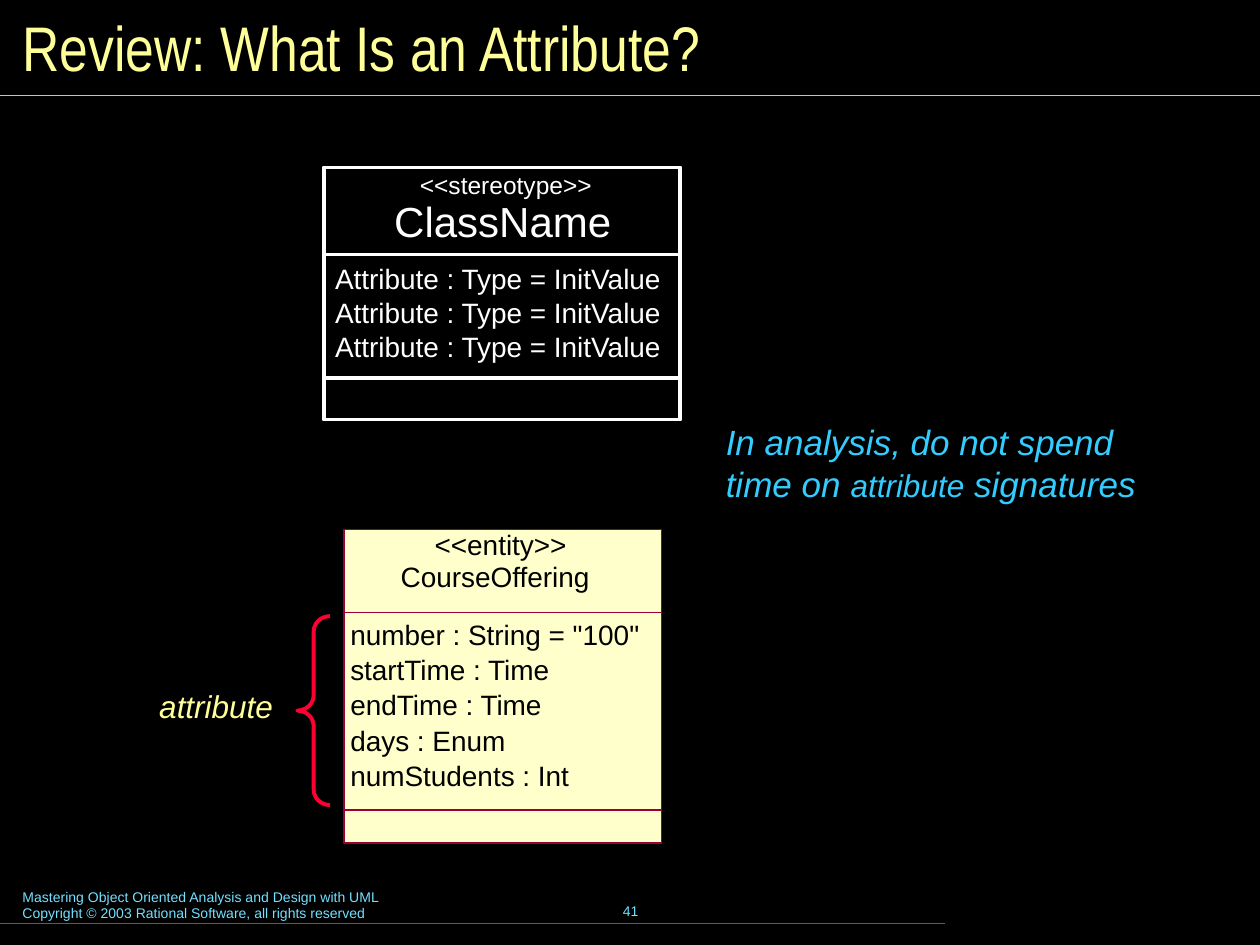
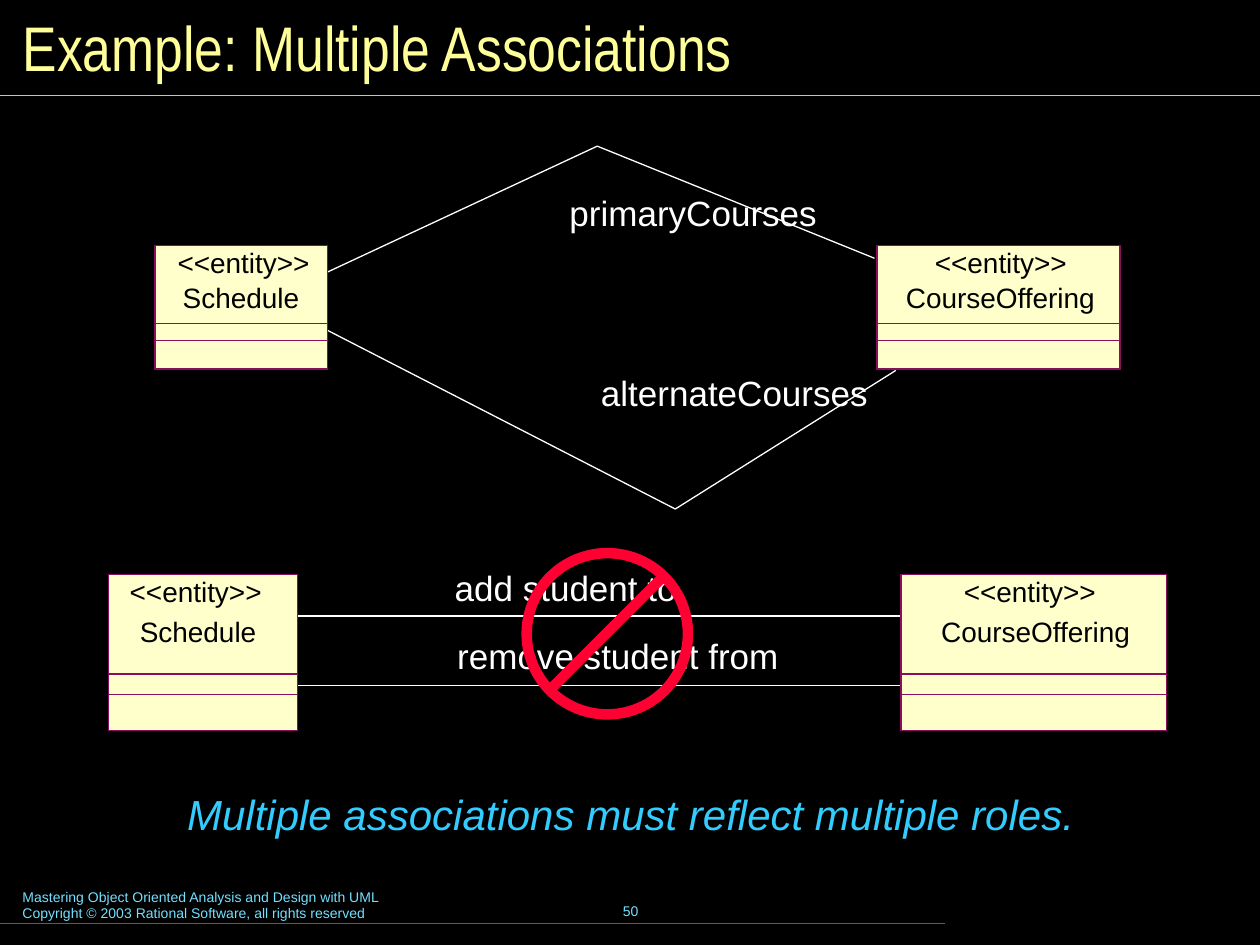
from lxml import etree
from pptx import Presentation
from pptx.dml.color import RGBColor
from pptx.enum.shapes import MSO_CONNECTOR, MSO_SHAPE
from pptx.enum.text import MSO_ANCHOR, PP_ALIGN
from pptx.oxml.ns import qn
from pptx.util import Inches, Pt

RECTANGLE, OVAL, LEFT_BRACE = MSO_SHAPE.RECTANGLE, MSO_SHAPE.OVAL, MSO_SHAPE.LEFT_BRACE
STRAIGHT = MSO_CONNECTOR.STRAIGHT
LEFT, CENTER = PP_ALIGN.LEFT, PP_ALIGN.CENTER
TOP, MIDDLE = MSO_ANCHOR.TOP, MSO_ANCHOR.MIDDLE

BLACK = RGBColor(0x00, 0x00, 0x00)
WHITE = RGBColor(0xFF, 0xFF, 0xFF)
YELLOW = RGBColor(0xFF, 0xFF, 0x99)
CREAM = RGBColor(0xFF, 0xFF, 0xCC)
SKY = RGBColor(0x33, 0xCC, 0xFF)
PALE_BLUE = RGBColor(0x73, 0xE1, 0xFF)
TEAL = RGBColor(0x00, 0x7E, 0x9F)
RED = RGBColor(0xFF, 0x00, 0x33)
MAROON = RGBColor(0x99, 0x00, 0x33)
PLUM = RGBColor(0x8A, 0x0E, 0x5E)

BODY_FONT, TITLE_FONT = "Arial", "Arial Narrow"
PADDED, TIGHT = (0.1, 0.05), (0, 0)
LABEL_SLACK = 0.08  # spare width that keeps a label on one line

# Content
FOOTER = ["Mastering Object Oriented Analysis and Design with UML",
          "Copyright © 2003 Rational Software, all rights reserved"]
ATTRIBUTE_LINES = ["Attribute : Type = InitValue"] * 3
# Label, left, top, width
STEREOTYPE = "<<entity>>"
COURSE_OFFERING_LABELS = [(STEREOTYPE, 3.45, 4.19, 1.05), ("CourseOffering", 3.18, 4.44, 1.5)]
COURSE_ATTRIBUTES = [('number : String = "100"', 2.3), ("startTime : Time", 1.6),
                     ("endTime : Time", 1.54), ("days : Enum", 1.23),
                     ("numStudents : Int", 1.74)]
# Left, width, labels of each class; a row shares its top, compartments and bottom
CLASS_ROWS = [
    {"tops": (1.95, 2.57, 2.7), "bottom": 2.93, "name_top": 2.23,
     "classes": [(6.96, 1.93, ("CourseOffering", 7.19, 1.5), 7.42),
                 (1.23, 1.37, ("Schedule", 1.45, 0.93), 1.41)]},
    {"tops": (4.56, 5.35, 5.51), "bottom": 5.8, "name_top": 4.88,
     "classes": [(7.15, 2.11, ("CourseOffering", 7.47, 1.5), 7.65),
                 (0.86, 1.5, ("Schedule", 1.11, 0.93), 1.03)]},
]
ROLE_PATHS = [[(2.49, 2.21), (4.74, 1.16), (6.94, 2.05)],
              [(2.44, 2.54), (5.36, 4.04), (7.11, 2.94)]]
ROLE_NAMES = [("primaryCourses", 4.52, 1.52, 1.96), ("alternateCourses", 4.77, 2.95, 2.12)]
OPERATION_LINES = [((2.14, 4.89), (7.35, 4.89)), ((2.16, 5.44), (7.37, 5.44))]
OPERATION_NAMES = [("add student to", 3.51, 4.45, 2.48),
                   ("remove student from", 3.53, 4.99, 2.81)]


def add_text(slide, lines, left, top, width, height, size, color, align=LEFT,
             anchor=TOP, italic=False, inset=PADDED):
    """Each line is a string or a list of (text, size) runs."""
    box = slide.shapes.add_textbox(*map(Inches, (left, top, width, height)))
    frame = box.text_frame
    frame.word_wrap, frame.vertical_anchor = True, anchor
    frame.margin_left = frame.margin_right = Inches(inset[0])
    frame.margin_top = frame.margin_bottom = Inches(inset[1])
    for index, line in enumerate(lines):
        paragraph = frame.add_paragraph() if index else frame.paragraphs[0]
        paragraph.alignment = align
        for text, run_size in [(line, size)] if isinstance(line, str) else line:
            run = paragraph.add_run()
            run.text = text
            run.font.name, run.font.size = BODY_FONT, Pt(run_size)
            run.font.italic = italic
            run.font.color.rgb = color


def add_label(slide, text, left, top, width, size=16, color=BLACK, align=LEFT):
    if align == CENTER:
        left -= LABEL_SLACK / 2
    add_text(slide, [text], left, top, width + LABEL_SLACK, size / 60, size, color,
             align, inset=TIGHT)


def style_shape(shape, line_color, line_width, fill=None):
    shape.shadow.inherit = False
    if fill is None:
        shape.fill.background()
    else:
        shape.fill.solid()
        shape.fill.fore_color.rgb = fill
    shape.line.color.rgb = line_color
    shape.line.width = Pt(line_width)
    return shape


def add_shape(slide, kind, left, top, width, height, line_color, line_width, fill=None):
    shape = slide.shapes.add_shape(kind, *map(Inches, (left, top, width, height)))
    return style_shape(shape, line_color, line_width, fill)


def add_line(slide, start, end, color, width):
    line = slide.shapes.add_connector(STRAIGHT, *map(Inches, (*start, *end)))
    line.line.color.rgb = color
    line.line.width = Pt(width)
    properties = line._element.find(qn("p:spPr"))
    etree.SubElement(properties, qn("a:effectLst"))


def add_class_box(slide, left, width, tops, bottom, line_color):
    """One rectangle per compartment, each reaching down to the bottom."""
    for top in tops:
        add_shape(slide, RECTANGLE, left, top, width, bottom - top, line_color, 0, CREAM)


def add_base_slide(presentation, title, number):
    slide = presentation.slides.add_slide(presentation.slide_layouts[5])
    add_text(slide, FOOTER, 0.08, 7, 5.1, 0.37, 8, PALE_BLUE)
    add_text(slide, [number], 3.42, 6.98, 3.17, 0.5, 8, PALE_BLUE, CENTER, MIDDLE)
    add_line(slide, (0, 7.33), (7.5, 7.33), TEAL, 0.75)
    add_line(slide, (0, 0.76), (10, 0.76), PALE_BLUE, 0.75)

    heading = slide.shapes.title
    heading.left, heading.top = Inches(0.08), Inches(0.08)
    heading.width, heading.height = Inches(9.84), Inches(0.58)
    heading.text_frame.vertical_anchor = MIDDLE
    paragraph = heading.text_frame.paragraphs[0]
    paragraph.alignment = LEFT
    run = paragraph.add_run()
    run.text = title
    run.font.name, run.font.size = TITLE_FONT, Pt(36)
    run.font.color.rgb = YELLOW
    return slide


def build_attribute_slide(presentation):
    slide = add_base_slide(presentation, "Review: What Is an Attribute?", "41")

    # General class notation
    add_shape(slide, RECTANGLE, 2.57, 1.33, 2.83, 2, WHITE, 2.25)
    for divider in (2.02, 3):
        add_line(slide, (2.57, divider), (5.4, divider), WHITE, 2.25)
    add_label(slide, "ClassName", 3.13, 1.55, 1.72, 24, WHITE, CENTER)
    add_label(slide, "<<stereotype>>", 3.33, 1.35, 1.37, 14, WHITE, CENTER)
    add_text(slide, ATTRIBUTE_LINES, 2.66, 2.08, 2.62 + LABEL_SLACK, 0.8, 16, WHITE,
             inset=TIGHT)

    # Notes
    add_text(slide, ["attribute"], 1.04, 5.4, 1.35, 0.4, 18, YELLOW, CENTER, italic=True)
    advice = [("In analysis, do not spend time on ", 20), ("attribute", 18),
              (" signatures", 20)]
    add_text(slide, [advice], 5.64, 3.28, 3.69, 0.79, 20, SKY, italic=True,
             inset=(0.12, 0.06))

    # Example class with its attributes
    add_class_box(slide, 2.73, 2.52, (4.2, 4.86, 6.43), 6.69, MAROON)
    for label in COURSE_OFFERING_LABELS:
        add_label(slide, *label)
    for index, (text, width) in enumerate(COURSE_ATTRIBUTES):
        add_label(slide, text, 2.78, 4.9 + index * 0.28, width)
    brace = add_shape(slide, LEFT_BRACE, 2.36, 4.89, 0.26, 1.5, RED, 2.25)
    brace.adjustments[0] = 0.47


def build_association_slide(presentation):
    slide = add_base_slide(presentation, "Example: Multiple Associations", "50")

    # Role paths, behind the classes
    for start, *rest in ROLE_PATHS:
        builder = slide.shapes.build_freeform(*map(Inches, start))
        builder.add_line_segments([tuple(map(Inches, point)) for point in rest],
                                  close=False)
        style_shape(builder.convert_to_shape(), WHITE, 0)
    for start, end in OPERATION_LINES:
        add_line(slide, start, end, WHITE, 1)

    # Classes
    for row in CLASS_ROWS:
        for left, width, (name, name_left, name_width), entity_left in row["classes"]:
            add_class_box(slide, left, width, row["tops"], row["bottom"], PLUM)
            add_label(slide, name, name_left, row["name_top"], name_width)
            add_label(slide, STEREOTYPE, entity_left, row["tops"][0], 1.05)

    # Association names
    for role in ROLE_NAMES:
        add_label(slide, *role, 20, WHITE)
    for text, left, top, width in OPERATION_NAMES:
        add_text(slide, [text], left, top, width, 0.44, 20, WHITE)

    # Prohibition sign
    add_shape(slide, OVAL, 4.18, 4.39, 1.28, 1.28, RED, 6)
    add_line(slide, (5.27, 4.57), (4.38, 5.46), RED, 6)

    add_text(slide, ["Multiple associations must reflect multiple roles."],
             1.35, 6.21, 7.31, 0.5, 24, SKY, CENTER, italic=True)


def main():
    presentation = Presentation()
    presentation.slide_width, presentation.slide_height = Inches(10), Inches(7.5)
    background = presentation.slide_master.background.fill
    background.solid()
    background.fore_color.rgb = BLACK
    build_attribute_slide(presentation)
    build_association_slide(presentation)
    presentation.save("out.pptx")


if __name__ == "__main__":
    main()
